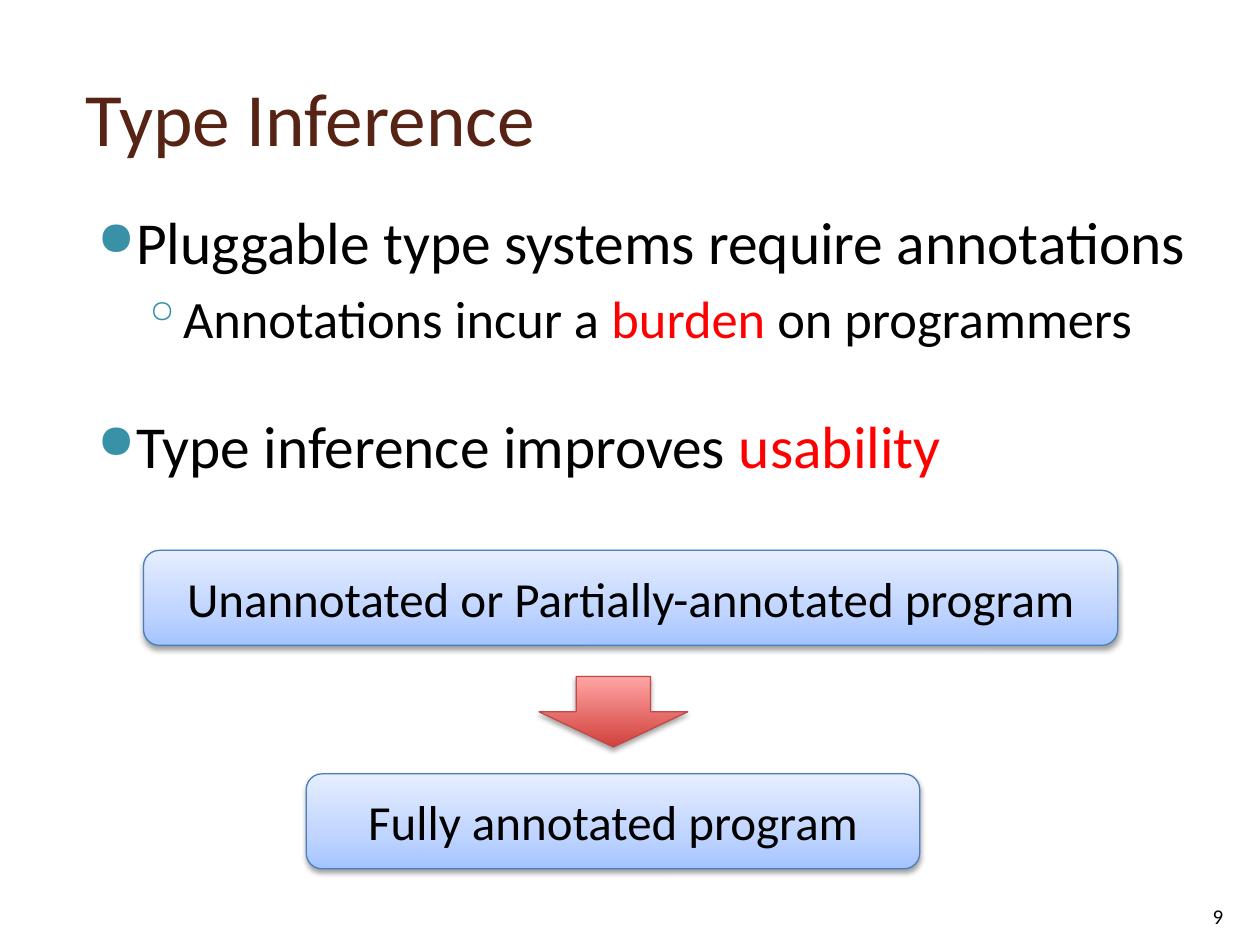
"""Build the "Type Inference" slide: title, bullets and a two-step annotation flow."""
from lxml.etree import SubElement
from pptx import Presentation
from pptx.dml.color import RGBColor
from pptx.enum.shapes import MSO_SHAPE
from pptx.enum.text import MSO_ANCHOR, PP_ALIGN
from pptx.oxml.ns import qn
from pptx.util import Pt

THEME = {
    "font": "Calibri",
    "title": "572314", "text": "000000", "accent": "FF0000", "bullet": "3891A7",
    "title_size": 43, "body_sizes": (34, 30), "box_size": 28, "number_size": 12,
    "blue": {"stops": ((0, "A4C4FF"), (35, "BFD4FF"), (100, "E6EEFF")),
             "line": "4B7EBC", "alpha": 38, "dist": 1.6},
    "red": {"stops": ((0, "D1403C"), (100, "FFA6A5")),
            "line": "BF4C48", "alpha": 35, "dist": 1.8},
}


def add_run(p, text, size, color):
    r = p.add_run()
    r.text = text
    for name, value in {"name": THEME["font"], "size": Pt(size)}.items():
        setattr(r.font, name, value)
    r.font.color.rgb = RGBColor.from_string(color)


def add_color(parent, color, alpha=100):
    clr = SubElement(parent, qn("a:srgbClr"), val=color)
    SubElement(clr, qn("a:alpha"), val=str(alpha * 1000))


prs = Presentation()
prs.slide_width, prs.slide_height = Pt(720), Pt(540)
s = prs.slides.add_slide(prs.slide_layouts[6])

labels = [
    ("Type Inference", (42, 21.6, 638.6, 90), MSO_ANCHOR.MIDDLE, PP_ALIGN.LEFT,
     THEME["title_size"], THEME["title"]),
    ("9", (678, 496.8, 36, 37.4), MSO_ANCHOR.BOTTOM, PP_ALIGN.CENTER,
     THEME["number_size"], THEME["text"]),
]
for text, box, anchor, align, size, color in labels:
    tf = s.shapes.add_textbox(*map(Pt, box)).text_frame
    for name, value in {"word_wrap": True, "vertical_anchor": anchor}.items():
        setattr(tf, name, value)
    tf.paragraphs[0].alignment = align
    add_run(tf.paragraphs[0], text, size, color)

bullet_styles = [
    {"char": "●", "scale": 80, "margin": 28.8, "indent": -22.3},
    {"char": "◦", "scale": 100, "margin": 50.4, "indent": -18.7},
]
bullets = [
    (0, 6, [("Pluggable type systems require annotations", "text")]),
    (1, 5.5, [("Annotations incur a ", "text"), ("burden", "accent"),
              (" on programmers", "text")]),
    (0, 34, [("Type inference improves ", "text"), ("usability", "accent")]),
]
tf = s.shapes.add_textbox(*map(Pt, (42, 113.8, 660, 378))).text_frame
tf.word_wrap = True
for i, (level, space, runs) in enumerate(bullets):
    p = tf.add_paragraph() if i else tf.paragraphs[0]
    p.level, p.space_before = level, Pt(space)
    style = bullet_styles[level]
    pPr = p._p.get_or_add_pPr()
    pPr.set("marL", str(Pt(style["margin"])))
    pPr.set("indent", str(Pt(style["indent"])))
    add_color(SubElement(pPr, qn("a:buClr")), THEME["bullet"])
    SubElement(pPr, qn("a:buSzPct"), val=str(style["scale"] * 1000))
    SubElement(pPr, qn("a:buChar"), char=style["char"])
    for text, color in runs:
        add_run(p, text, THEME["body_sizes"][level], THEME[color])

flow = [
    (MSO_SHAPE.ROUNDED_RECTANGLE, (82, 314.5, 556.7, 54.3), "blue",
     "Unannotated or Partially-annotated program"),
    (MSO_SHAPE.ROUNDED_RECTANGLE, (175, 442.2, 350.6, 54.3), "blue",
     "Fully annotated program"),
    (MSO_SHAPE.DOWN_ARROW, (308, 386.6, 85, 40.3), "red", ""),
]
for kind, box, look, text in flow:
    style = THEME[look]
    sp = s.shapes.add_shape(kind, *map(Pt, box))
    sp.fill.gradient()
    sp.fill.gradient_angle = 90
    stops = sp._element.spPr.find(".//" + qn("a:gsLst"))
    for stop in list(stops):
        stops.remove(stop)
    for position, color in style["stops"]:
        add_color(SubElement(stops, qn("a:gs"), pos=str(position * 1000)), color)
    sp.line.width = Pt(0.75)
    sp.line.color.rgb = RGBColor.from_string(style["line"])
    sp.shadow.inherit = False
    shadow = SubElement(sp._element.spPr.find(qn("a:effectLst")), qn("a:outerShdw"),
                        blurRad=str(Pt(3.1)), dist=str(Pt(style["dist"])),
                        dir="5400000", rotWithShape="0")
    add_color(shadow, "000000", style["alpha"])
    if text:
        tf = sp.text_frame
        for name, value in {"word_wrap": True, "vertical_anchor": MSO_ANCHOR.MIDDLE}.items():
            setattr(tf, name, value)
        tf.paragraphs[0].alignment = PP_ALIGN.CENTER
        add_run(tf.paragraphs[0], text, THEME["box_size"], THEME["text"])

prs.save("out.pptx")
